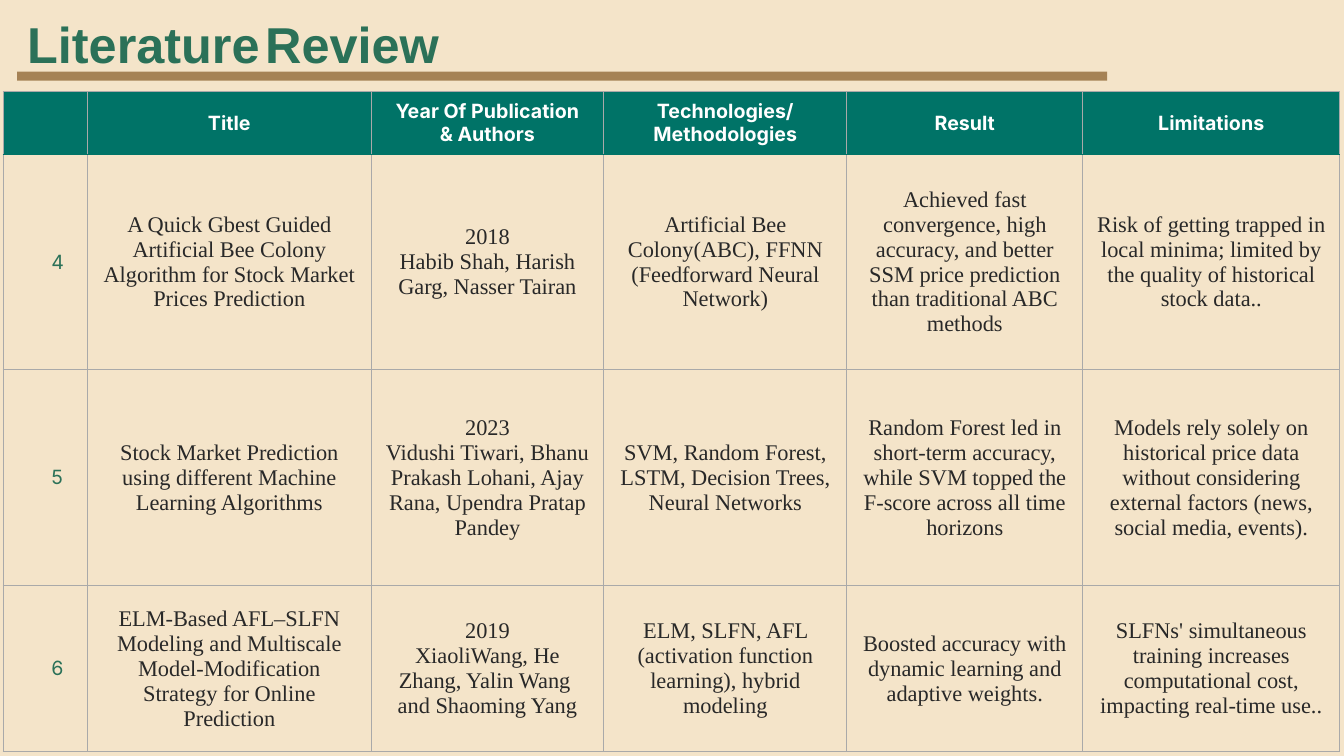
from lxml import etree
from pptx import Presentation
from pptx.dml.color import RGBColor
from pptx.enum.shapes import MSO_SHAPE as SHAPE
from pptx.enum.text import MSO_ANCHOR as ANCHOR, MSO_AUTO_SIZE as AUTO, PP_ALIGN as ALIGN
from pptx.oxml.ns import qn
from pptx.util import Inches, Pt

CREAM = RGBColor(0xF4, 0xE4, 0xC9)
BROWN = RGBColor(0xA5, 0x82, 0x55)
GREEN = RGBColor(0x2B, 0x71, 0x58)
TEAL = RGBColor(0x00, 0x73, 0x67)
GREY = RGBColor(0xA9, 0xA9, 0xA9)
INK = RGBColor(0x28, 0x28, 0x28)
WHITE = RGBColor(0xFF, 0xFF, 0xFF)

COLUMNS = [0.84, 2.81, 2.31, 2.41, 2.34, 2.55]
ROWS = [0.62, 2.14, 2.14, 1.65]
HEADER = ["", "Title", "Year Of Publication\n& Authors",
          "Technologies/\nMethodologies", "Result", "Limitations"]
PAPERS = [
    ["4",
     "A Quick Gbest Guided Artificial Bee Colony\n"
     "Algorithm for Stock Market Prices Prediction",
     "2018\nHabib Shah, Harish Garg, Nasser Tairan",
     "Artificial Bee Colony(ABC), FFNN (Feedforward Neural Network)",
     "Achieved fast convergence, high accuracy, and better SSM price "
     "prediction than traditional ABC methods",
     "Risk of getting trapped in local minima; limited by the quality of "
     "historical stock data.."],
    ["5",
     "Stock Market Prediction using different Machine\nLearning Algorithms",
     "2023\nVidushi Tiwari, Bhanu Prakash Lohani, Ajay Rana, Upendra Pratap Pandey",
     "SVM, Random Forest, LSTM, Decision Trees, Neural Networks",
     "Random Forest led in short-term accuracy, while SVM topped the "
     "F-score across all time horizons",
     "Models rely solely on historical price data without considering "
     "external factors (news, social media, events)."],
    ["6",
     "ELM-Based AFL–SLFN Modeling and Multiscale Model-Modification "
     "Strategy for Online Prediction",
     "2019\nXiaoliWang, He Zhang, Yalin Wang  and Shaoming Yang",
     "ELM, SLFN, AFL (activation function learning), hybrid modeling",
     "Boosted accuracy with dynamic learning and adaptive weights.",
     "SLFNs' simultaneous training increases computational cost, "
     "impacting real-time use.."],
]


def add_run(p, text, font, size, color, bold=False):
    """Append one formatted run to a paragraph."""
    r = p.add_run()
    r.text = text
    r.font.name, r.font.size, r.font.bold = font, Pt(size), bold
    r.font.color.rgb = color


def add_heading(slide, x, y, w, h):
    """Place the title and the bar under it in the given box."""
    sp = slide.shapes.title
    sp.left, sp.top, sp.width, sp.height = Inches(x), Inches(y), Inches(4.65), Inches(h)
    tf = sp.text_frame
    tf.word_wrap, tf.auto_size, tf.vertical_anchor = False, AUTO.NONE, ANCHOR.MIDDLE
    p = tf.paragraphs[0]
    p.alignment = ALIGN.LEFT
    for text, size in [("Literature", 36), (" ", 14), ("Review", 36)]:
        add_run(p, text, "Arial", size, GREEN, True)
    bar = slide.shapes.add_shape(SHAPE.RECTANGLE, Inches(x), Inches(y + h - 0.08),
                                 Inches(w), Inches(0.09))
    bar.shadow.inherit = False
    bar.fill.solid()
    bar.fill.fore_color.rgb = BROWN
    bar.line.fill.background()


def set_borders(cell, top, bottom):
    """Draw grey sides and the given top and bottom colours."""
    tc_pr = cell._tc.get_or_add_tcPr()
    for side, color in [("L", GREY), ("R", GREY), ("T", top), ("B", bottom)]:
        ln = etree.SubElement(tc_pr, qn(f"a:ln{side}"), w=str(Pt(0.75)))
        fill = etree.SubElement(ln, qn("a:solidFill"))
        etree.SubElement(fill, qn("a:srgbClr"), val=str(color))


def fill_cell(cell, text, row, col):
    """Format one cell by its row and column and write its text."""
    set_borders(cell, TEAL if row == 1 else GREY, TEAL if row == 0 else GREY)
    cell.fill.solid()
    cell.fill.fore_color.rgb = CREAM if row else TEAL
    cell.vertical_anchor = ANCHOR.MIDDLE
    is_number = row > 0 and col == 0
    cell.margin_left = Inches(0.48 if is_number else 0.12)
    cell.margin_right = Inches(0.12)
    cell.margin_top = cell.margin_bottom = Inches(0.06)
    if row == 0:
        style = ("Inter", 14, WHITE, True)
    elif is_number:
        style = ("Inter", 14, GREEN)
    else:
        style = ("Times New Roman", 16, INK)
    tf = cell.text_frame
    for i, line in enumerate(text.split("\n") if text else []):
        p = tf.add_paragraph() if i else tf.paragraphs[0]
        p.alignment = ALIGN.LEFT if is_number else ALIGN.CENTER
        add_run(p, line, *style)


def add_review_table(slide, x, y):
    """Place the table of papers with its corner at the given point."""
    table = slide.shapes.add_table(len(ROWS), len(COLUMNS), Inches(x), Inches(y),
                                   Inches(sum(COLUMNS)), Inches(sum(ROWS))).table
    table.first_row = table.horz_banding = False
    for column, width in zip(table.columns, COLUMNS):
        column.width = Inches(width)
    for row, height in zip(table.rows, ROWS):
        row.height = Inches(height)
    for i, texts in enumerate([HEADER, *PAPERS]):
        for j, text in enumerate(texts):
            fill_cell(table.cell(i, j), text, i, j)


def main():
    """Build the literature review slide and save it."""
    prs = Presentation()
    prs.slide_width, prs.slide_height = Inches(13.33), Inches(7.5)
    slide = prs.slides.add_slide(prs.slide_layouts[5])
    slide.background.fill.solid()
    slide.background.fill.fore_color.rgb = CREAM
    add_heading(slide, 0.17, 0.08, 10.81, 0.71)
    add_review_table(slide, 0.03, 0.91)
    prs.save("out.pptx")


if __name__ == "__main__":
    main()
